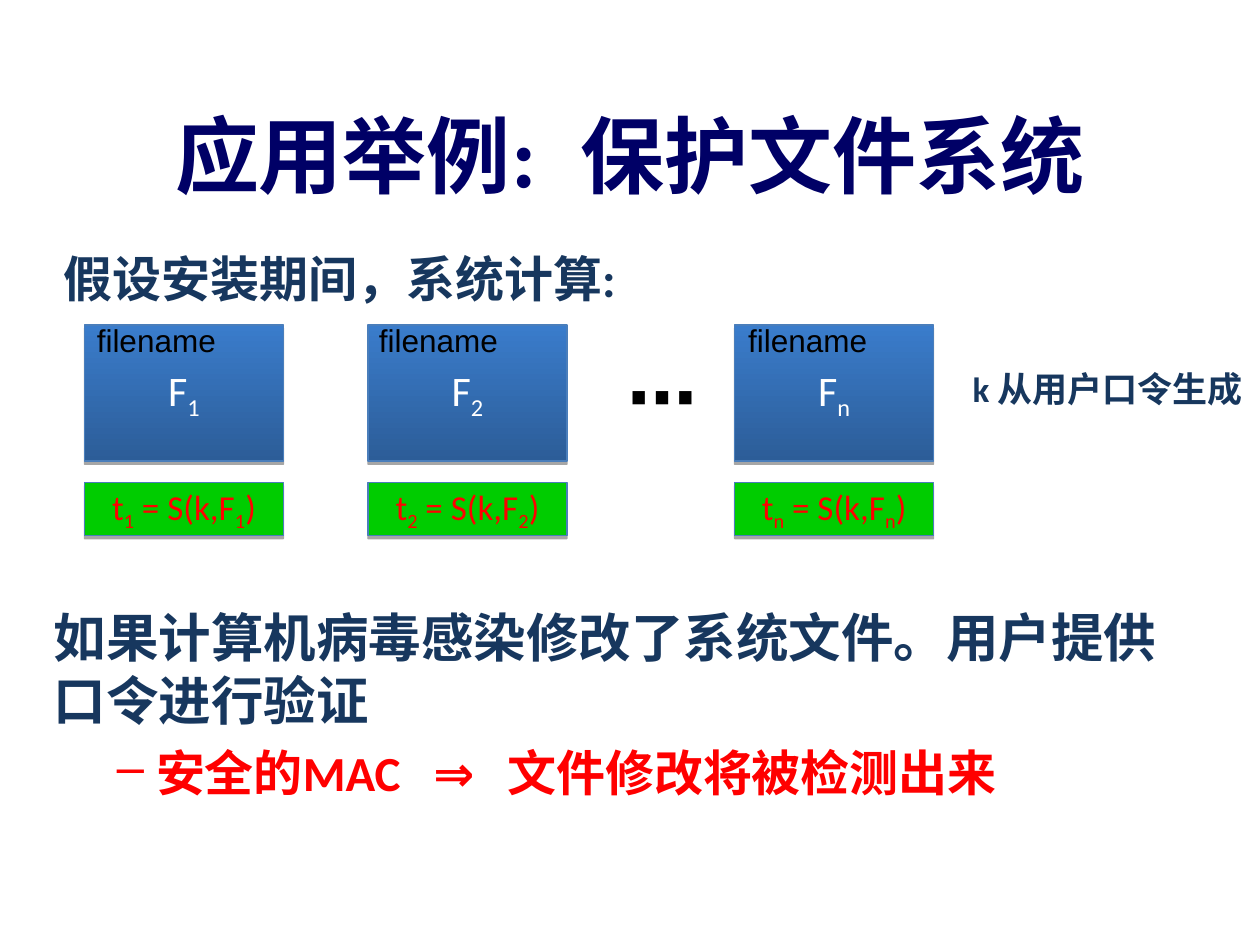
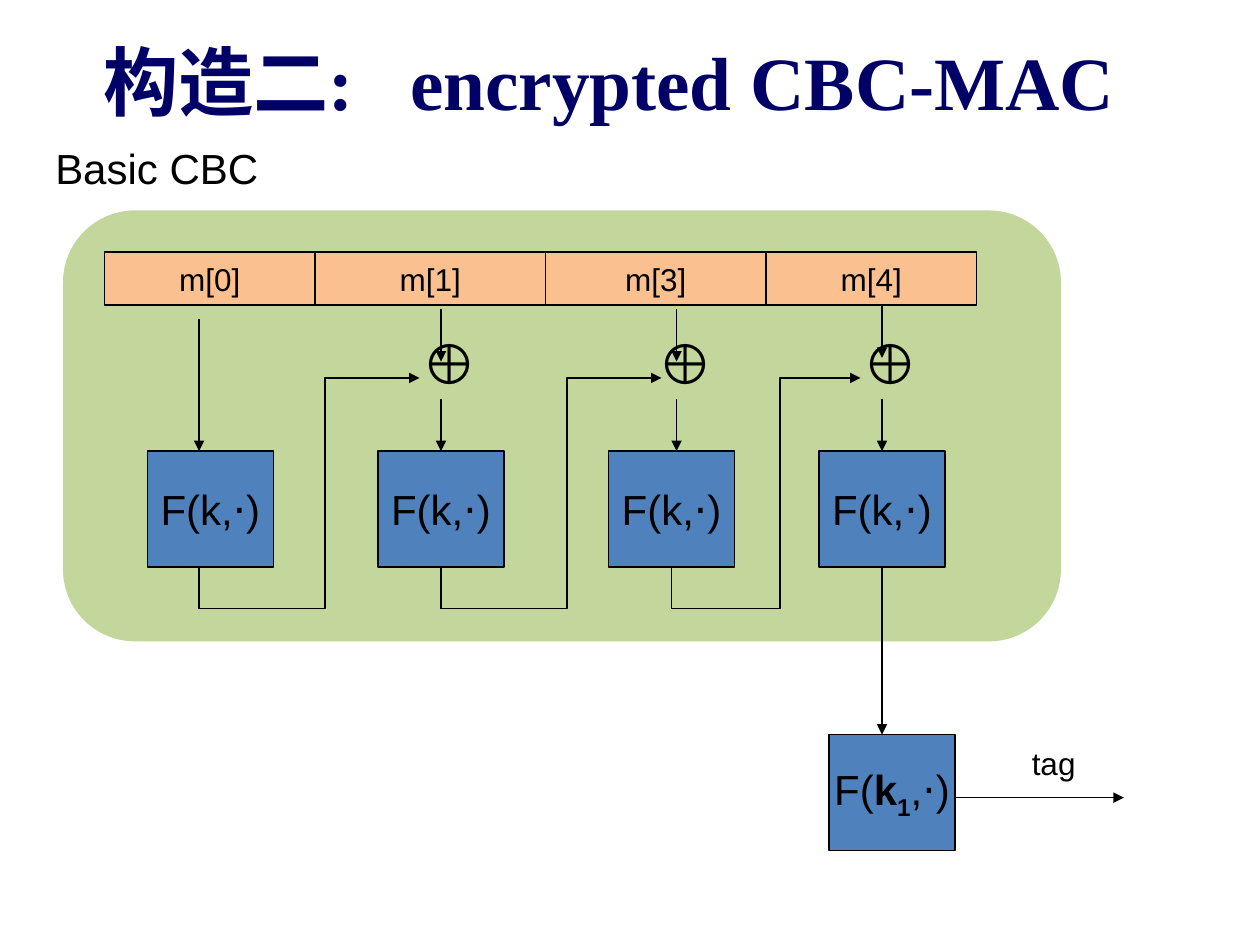
from dataclasses import dataclass

from lxml import etree
from pptx import Presentation
from pptx import util as u
from pptx.dml.color import RGBColor
from pptx.enum import shapes, text
from pptx.oxml.ns import qn

Inches, Pt = u.Inches, u.Pt


@dataclass(frozen=True)
class Theme:
    # Colours
    title: str = "000066"
    body: str = "17375E"
    alert: str = "FF0000"
    ink: str = "000000"
    light: str = "FFFFFF"
    dark: str = "2C5D98"
    bright: str = "3A7CCB"
    edge: str = "4A7EBB"
    tag: str = "00CC00"
    panel: str = "C3D69B"
    block: str = "FAC090"
    cipher: str = "4F81BD"
    # Fonts
    serif: str = "Times New Roman"
    sans: str = "Arial"
    main: str = "Calibri"
    # Type sizes
    small: int = 18
    note: int = 20
    label: int = 24
    lead: int = 28
    large: int = 30
    xor: int = 32
    dots: int = 40
    line: float = 0.75


T = Theme()
LEFT, MID = text.PP_ALIGN.LEFT, text.PP_ALIGN.CENTER


def rgb(code):
    return RGBColor.from_string(code)


def sub(parent, tag, **attrs):
    node = etree.SubElement(parent, qn(tag))
    for key, value in attrs.items():
        node.set(key, str(value))
    return node


# Text
def add_runs(para, runs, font, size, color, bold=False):
    """Each run is a string, or (string, kind): sub, bold, boldsub or a gap in points."""
    for item in runs:
        words, kind = (item, "") if isinstance(item, str) else item
        run = para.add_run()
        run.text = words
        run.font.size = Pt(size)
        run.font.bold = bold or kind in ("bold", "boldsub")
        run.font.color.rgb = rgb(color)
        run.font.name = font
        props = run._r.get_or_add_rPr()
        # Chinese text is sans serif throughout
        sub(props, "a:ea", typeface=T.main)
        if kind in ("sub", "boldsub"):
            props.set("baseline", "-25000")
        elif isinstance(kind, (int, float)):
            props.set("spc", str(round(kind * 100)))


def add_label(slide, at, runs, font, size, color, bold=False, wrap=False,
              align=LEFT, mid=False):
    box = slide.shapes.add_textbox(*map(Inches, at))
    frame = box.text_frame
    frame.word_wrap = wrap
    if not wrap:
        frame.auto_size = text.MSO_AUTO_SIZE.SHAPE_TO_FIT_TEXT
    if mid:
        frame.vertical_anchor = text.MSO_ANCHOR.MIDDLE
    para = frame.paragraphs[0]
    para.alignment = align
    add_runs(para, runs, font, size, color, bold)
    return frame


def add_title(slide, at, runs, size):
    add_label(slide, at, runs, T.serif, size, T.title, True, True, MID, True)


def add_point(frame, runs):
    para = frame.add_paragraph()
    para.space_before = Pt(7)
    props = para._p.get_or_add_pPr()
    props.set("lvl", "1")
    props.set("marL", str(Inches(0.81)))
    props.set("indent", str(Inches(-0.31)))
    sub(sub(props, "a:buClr"), "a:srgbClr", val=T.alert)
    sub(props, "a:buChar", char="–")
    add_runs(para, runs, T.main, T.lead, T.alert, True)


# Shapes
def add_box(slide, at, fill, edge=None, runs=(), font=T.sans, size=T.label,
            color=T.ink, wrap=False, kind=shapes.MSO_SHAPE.RECTANGLE):
    box = slide.shapes.add_shape(kind, *map(Inches, at))
    box.shadow.inherit = False
    if isinstance(fill, tuple):
        box.fill.gradient()
        box.fill.gradient_angle = 90
        for stop, code in zip(box.fill.gradient_stops, fill):
            stop.color.rgb = rgb(code)
    else:
        box.fill.solid()
        box.fill.fore_color.rgb = rgb(fill)
    if edge:
        box.line.color.rgb = rgb(edge)
        box.line.width = Pt(T.line)
    else:
        box.line.fill.background()
    frame = box.text_frame
    frame.word_wrap = wrap
    frame.vertical_anchor = text.MSO_ANCHOR.MIDDLE
    frame.paragraphs[0].alignment = MID
    add_runs(frame.paragraphs[0], runs, font, size, color)
    return box


def add_shade(box):
    effects = box._element.spPr.find(qn("a:effectLst"))
    shade = sub(effects, "a:outerShdw", blurRad=0, dist=Pt(1.8), dir=5400000,
                rotWithShape=0)
    sub(sub(shade, "a:srgbClr", val=T.ink), "a:alpha", val=35000)


def ink_line(shape, arrow):
    shape.line.color.rgb = rgb(T.ink)
    shape.line.width = Pt(T.line)
    if arrow:
        sub(shape.line._get_or_add_ln(), "a:tailEnd", type="triangle")


def add_line(slide, start, end, arrow=True, top=None, foot=None):
    """Join the start to the bottom of top, and the end to the top of foot."""
    line = slide.shapes.add_connector(shapes.MSO_CONNECTOR.STRAIGHT,
                                      *map(Inches, (*start, *end)))
    ink_line(line, arrow)
    sub(line._element.spPr, "a:effectLst")
    if top is not None:
        line.begin_connect(top, 2)
    if foot is not None:
        line.end_connect(foot, 0)


def add_path(slide, points):
    spots = [(Inches(x), Inches(y)) for x, y in points]
    pen = slide.shapes.build_freeform(*spots[0])
    pen.add_line_segments(spots[1:], close=False)
    path = pen.convert_to_shape()
    path.shadow.inherit = False
    path.fill.background()
    ink_line(path, True)


# Slide 1: file tags
def add_file(slide, left, name_x, sign):
    width = 1.58
    file = add_box(slide, (left, 2.58, width, 1.08), (T.dark, T.bright), T.edge,
                   ["F", (sign, "sub")], T.main, T.label, T.light, True)
    tag = add_box(slide, (left, 3.83, width, 0.42), T.tag, T.edge,
                  ["t", (sign, "sub"), " = S(k,F", (sign, "sub"), ")"],
                  T.main, T.note, T.alert, True)
    for box in (file, tag):
        add_shade(box)
    add_label(slide, (name_x, 2.5, 1.16, 0.4), ["filename"], T.sans, T.small, T.ink)


def draw_files(slide):
    add_title(slide, (0.5, 0.75, 9, 0.94),
              ["应用举例:", (" ", 12), "保护文件系统"], 48)
    body = add_label(slide, (0.33, 4.75, 9.25, 1.81),
                     ["如果计算机病毒感染修改了系统文件。用户提供口令进行验证"],
                     T.main, T.large, T.body, True, True)
    add_point(body, ["安全的MAC", (" ", 12.5), "⇒", (" ", 12.5),
                     "文件修改将被检测出来"])
    add_label(slide, (0.41, 1.92, 4.67, 0.57), ["假设安装期间，系统计算:"],
              T.main, T.lead, T.body, True)
    for left, name_x, sign in ((0.67, 0.67, "1"), (2.92, 2.91, "2"),
                               (5.83, 5.84, "n")):
        add_file(slide, left, name_x, sign)
    add_label(slide, (4.88, 2.75, 0.75, 0.77), ["⋯"], T.sans, T.dots, T.ink, True)
    add_label(slide, (7.62, 2.87, 2.38, 0.77), ["k 从用户口令生成"],
              T.main, T.note, T.body, True, True)


# Slide 2: CBC chain
def draw_chain(slide):
    panel = add_box(slide, (0.5, 1.67, 7.92, 3.42), T.panel,
                    kind=shapes.MSO_SHAPE.ROUNDED_RECTANGLE)
    panel.adjustments[0] = 0.167
    add_label(slide, (0.34, 1.08, 1.81, 0.5), ["Basic CBC"], T.sans, T.label, T.ink)
    add_title(slide, (0.33, 0.18, 9, 0.92),
              ["构造二:", (" ", 21.5), "encrypted CBC-MAC"], 43)

    # Message blocks
    edges = (0.83, 2.5, 4.33, 6.08, 7.75)
    for left, right, sign in zip(edges, edges[1:], "0134"):
        add_box(slide, (left, 2, right - left, 0.42), T.block, T.ink,
                [f"m[{sign}]"], size=T.small)

    # Ciphers
    top, foot, turn = 3.58, 4.5, 4.83
    size = (1, foot - top)
    row = [add_box(slide, (x, top, *size), T.cipher, T.ink, ["F(k,⋅)"])
           for x in (1.17, 3, 4.83, 6.5)]
    add_box(slide, (6.58, 5.83, *size), T.cipher, T.ink,
            ["F(", ("k", "bold"), ("1", "boldsub"), ",⋅)"])

    # Inputs: sign left, arrow x, arrow start, cipher joined at its middle
    add_line(slide, (1.58, 2.53), (1.58, top))
    for left, x, start, box in ((3.25, 3.5, 2.45, row[1]), (5.12, 5.37, 2.45, None),
                                (6.75, 7, 2.42, row[3])):
        add_label(slide, (left, 2.56, 0.55, 0.64), ["⊕"], T.sans, T.xor, T.ink)
        add_line(slide, (x, start), (x, start + 0.42))
        add_line(slide, (x, 3.17), (x, top), foot=box)

    # Feedback from each cipher to the next sign
    for x, bend, end, box in ((1.58, 2.58, 3.33, None), (3.5, 4.5, 5.25, row[1]),
                              (5.33, 6.19, 6.83, row[2])):
        add_line(slide, (x, foot), (x, turn), False, top=box)
        add_path(slide, ((x, turn), (bend, turn), (bend, 3), (end, 3)))

    # Output
    add_line(slide, (7, foot), (7, 5.83), top=row[3])
    add_line(slide, (7.58, 6.33), (8.92, 6.33))
    add_label(slide, (8.09, 5.86, 0.55, 0.4), ["tag"], T.sans, T.small, T.ink)


def main():
    deck = Presentation()
    deck.slide_width, deck.slide_height = Inches(10), Inches(7.5)
    for draw in (draw_files, draw_chain):
        draw(deck.slides.add_slide(deck.slide_layouts[6]))
    deck.save("out.pptx")


if __name__ == "__main__":
    main()
